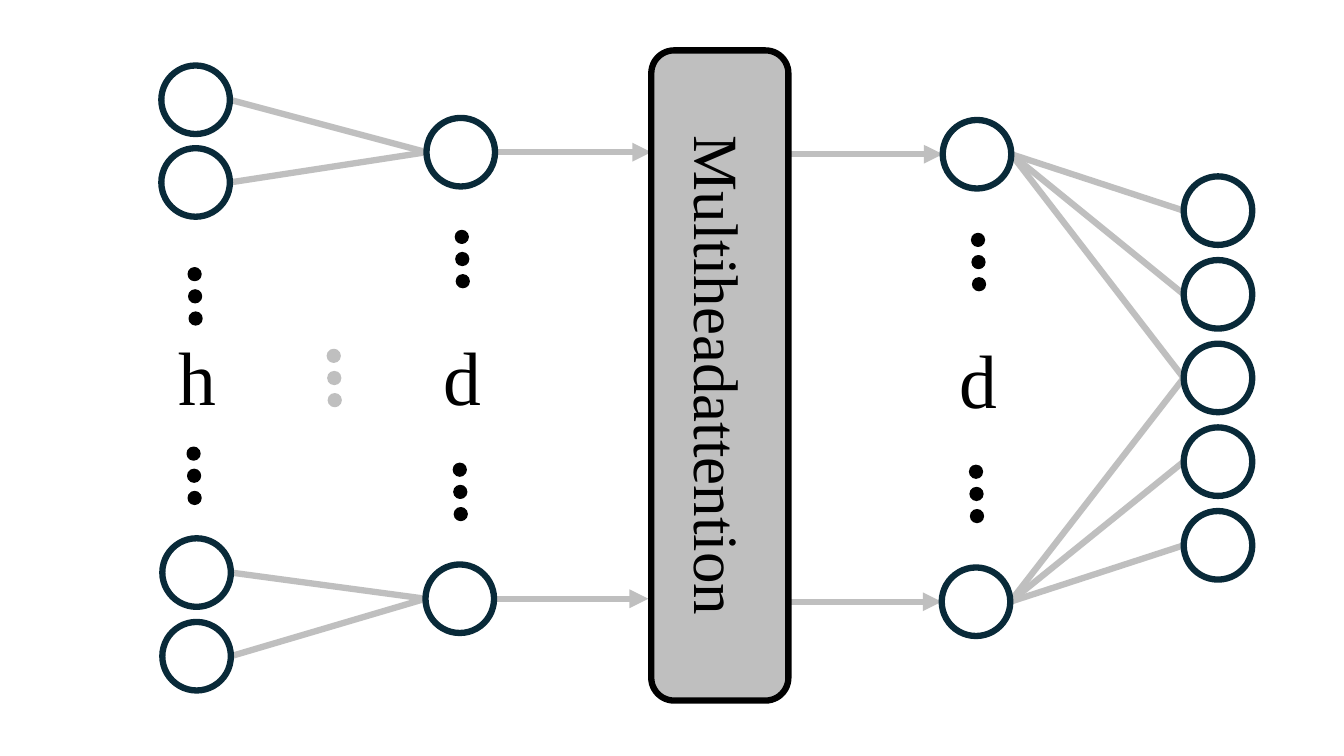
from pptx import Presentation
from pptx.dml.color import RGBColor
from pptx.enum.shapes import MSO_CONNECTOR, MSO_SHAPE
from pptx.enum.text import MSO_ANCHOR, PP_ALIGN
from pptx.oxml.ns import qn
from pptx.util import Inches, Pt
from lxml.etree import SubElement

COLORS = {"navy": "092A39", "gray": "BFBFBF", "black": "000000"}
FONT = "Times New Roman"
NODE, DOT, STEP, DRIFT = 0.68, 0.12, 0.22, 0.005

# Left and top of each node, from the top of its column down
heads = [(1.6, 0.65), (1.6, 1.47), (1.61, 5.34), (1.61, 6.17)]
mids = [(4.23, 1.17), (4.22, 5.6)]
outs = [(9.35, 1.19), (9.34, 5.63)]
ends = [(11.74, 1.75 + 0.83 * i) for i in range(5)]

# Nodes, (letter, left, top, width), tops of dot trios, dot colour
columns = [
    (heads, ("h", 1.67, 3.22, 0.54), [(1.87, 2.66), (1.86, 4.44)], "black"),
    (mids, ("d", 3.98, 3.22, 1.21), [(4.52, 2.29), (4.5, 4.6)], "black"),
    (ends, None, [], "black"),
    (outs, ("d", 9.1, 3.25, 1.21), [(9.64, 2.32), (9.62, 4.62)], "black"),
    ([], None, [(3.25, 3.47)], "gray"),
]
links = [(heads[i], mids[i // 2]) for i in range(4)]
links += [(outs[0], end) for end in ends[:3]]
links += [(outs[1], end) for end in ends[2:]]

block = ("Multiheadattention", 6.46, 0.5, 1.36, 6.45)
arrows = [
    (4.91, 1.51, 6.46), (4.88, 5.94, 6.43),
    (7.85, 1.53, 9.35), (7.82, 5.97, 9.34),
]


def paint(part, name):
    part.solid()
    part.fore_color.rgb = RGBColor.from_string(COLORS[name])


def add_line(x1, y1, x2, y2, arrow=False):
    line = slide.shapes.add_connector(
        MSO_CONNECTOR.STRAIGHT, *map(Inches, (x1, y1, x2, y2)))
    paint(line.line.fill, "gray")
    line.line.width = Pt(4.5)
    if arrow:
        SubElement(line.line._get_or_add_ln(), qn("a:tailEnd"), type="triangle")
    SubElement(line._element.spPr, qn("a:effectLst"))


def add_form(home, kind, box, fill, edge, width):
    form = home.add_shape(kind, *map(Inches, box))
    form.shadow.inherit = False
    if fill:
        paint(form.fill, fill)
    else:
        form.fill.background()
    paint(form.line.fill, edge)
    form.line.width = Pt(width)
    return form


def write(form, text, size):
    frame = form.text_frame
    frame.text = text
    frame.word_wrap = True
    line = frame.paragraphs[0]
    line.alignment = PP_ALIGN.CENTER
    font = line.runs[0].font
    font.name, font.size = FONT, Pt(size)
    paint(font.fill, "black")


def add_column(nodes, label, trios, tint):
    home = slide.shapes.add_group_shape().shapes
    for x, y in nodes:
        add_form(home, MSO_SHAPE.OVAL, (x, y, NODE, NODE), None, "navy", 4.5)
    if label:
        text, x, y, width = label
        write(home.add_textbox(*map(Inches, (x, y, width, 1.01))), text, 54)
    for x, y in trios:
        for i in range(3):
            box = (x + DRIFT * i, y + STEP * i, DOT, DOT)
            add_form(home, MSO_SHAPE.OVAL, box, tint, tint, 1.5)


deck = Presentation()
deck.slide_width, deck.slide_height = Inches(13.33), Inches(7.5)
slide = deck.slides.add_slide(deck.slide_layouts[6])

for (x1, y1), (x2, y2) in links:
    add_line(x1 + NODE, y1 + NODE / 2, x2, y2 + NODE / 2)
for x1, y, x2 in arrows:
    add_line(x1, y, x2, y, arrow=True)
for column in columns:
    add_column(*column)

text, *box = block
panel = add_form(slide.shapes, MSO_SHAPE.ROUNDED_RECTANGLE, box, "gray", "black", 4.5)
write(panel, text, 45)
panel.text_frame.vertical_anchor = MSO_ANCHOR.MIDDLE
panel.text_frame._txBody.bodyPr.set("vert", "vert")

deck.save("out.pptx")
